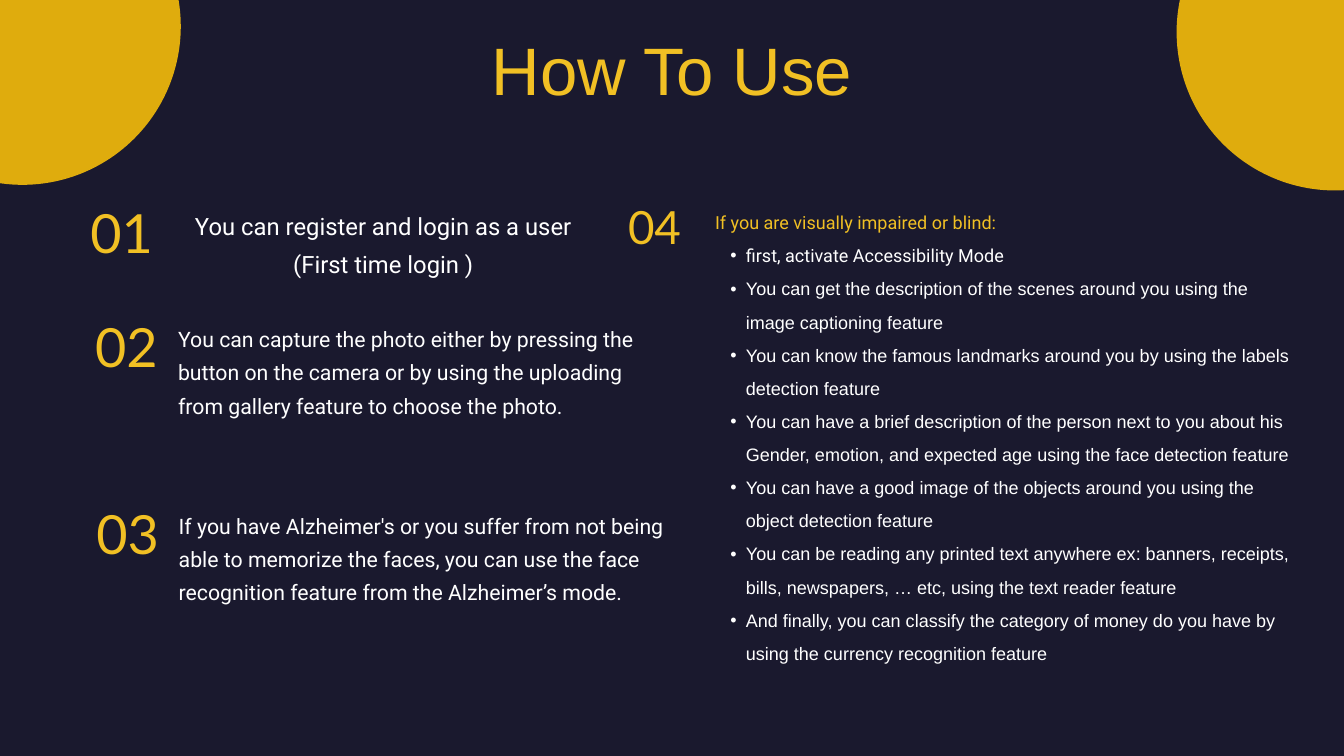
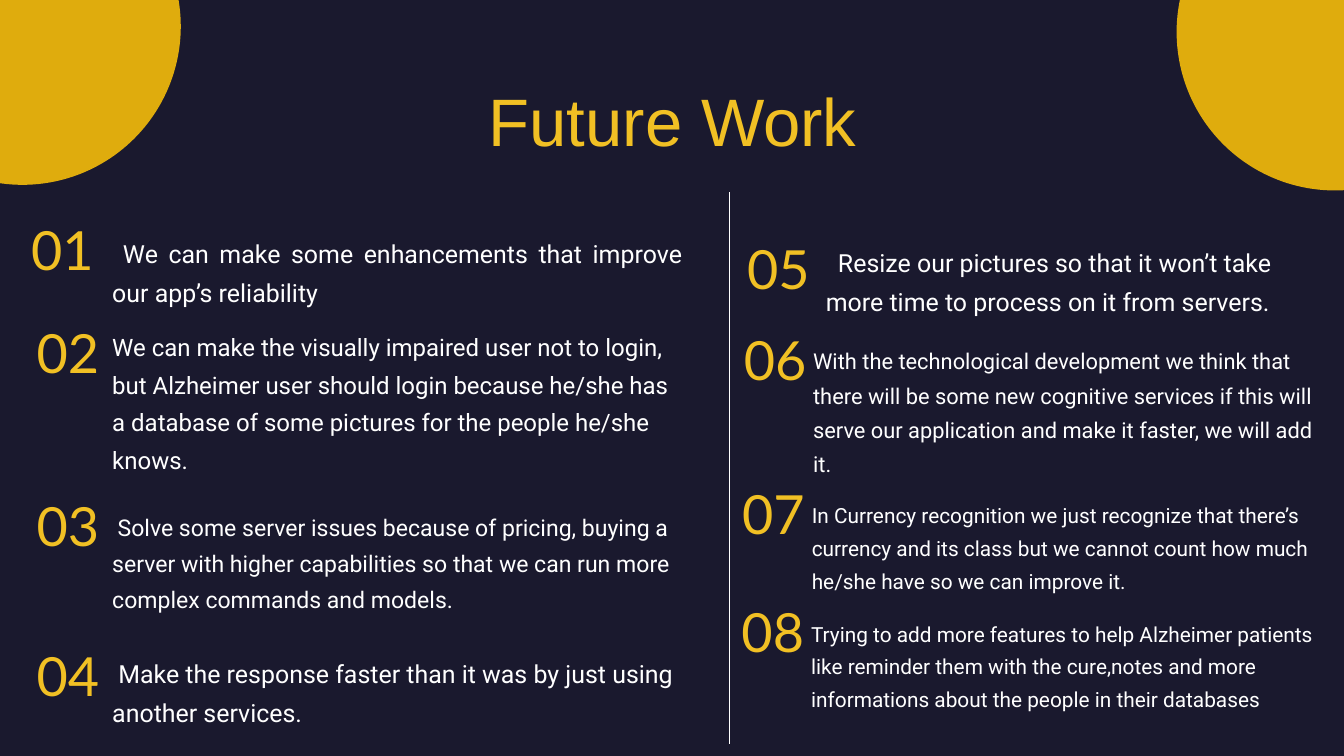
from dataclasses import dataclass

from lxml.etree import SubElement
from pptx import Presentation
from pptx.dml.color import RGBColor
from pptx.enum.shapes import MSO_CONNECTOR as Connector
from pptx.enum.text import MSO_AUTO_SIZE as AutoSize, PP_ALIGN as Align
from pptx.oxml.ns import qn
from pptx.util import Inches, Pt

NIGHT, AMBER, GOLD, WHITE = "1A192E", "DFAC0D", "F1C024", "FFFFFF"
TITLE_FONT, NUMBER_FONT, BODY_FONT = "Arial", "Lato", "Roboto"
BODY_SPACING = {22.3: 35, 22.8: 35.7, 23.4: 36.7, 24.7: 38.7, 25.5: 40.1, 25.7: 40.3, 26.7: 41.9}
DOME_WIDTH, DOME_HEIGHT, DOME_SHOULDER = 4.71, 3, 0.65
HALF_TURN = 180 * 60000


@dataclass(frozen=True)
class Frame:
    """A place on the slide, in inches."""
    left: float
    top: float
    width: float
    height: float


@dataclass(frozen=True)
class Style:
    """The look of one paragraph."""
    font: str
    size: float
    color: str
    spacing: float
    align: Align = Align.LEFT
    first_indent: float = 0
    bullet: bool = False


@dataclass(frozen=True)
class Step:
    """A numbered entry with its text."""
    number: str
    number_frame: Frame
    text: str
    text_frame: Frame
    size: float
    align: Align = Align.LEFT
    first_indent: float = 0
    number_spacing: float = 80.9


@dataclass(frozen=True)
class Dome:
    """A rounded corner ornament."""
    left: float
    top: float
    rotation: float


DOMES = [Dome(-1.31, -0.63, 303.8), Dome(16.81, -0.53, 54.9)]

USE_STEPS = [
    Step("01", Frame(1.05, 2.81, 1.52, 1.05),
         "You can register and login as a user (First time login )",
         Frame(2.57, 3.02, 6.27, 1.04), 25.5, Align.CENTER),
    Step("02", Frame(1.12, 4.5, 1.52, 1.05),
         "You can capture the photo either by pressing the button on the camera "
         "or by using the uploading from gallery feature to choose the photo.",
         Frame(2.65, 4.74, 7.34, 1.9), 22.8),
    Step("03", Frame(1.14, 7.29, 1.52, 1.05),
         "If you have Alzheimer's or you suffer from not being able to memorize the faces, "
         "you can use the face recognition feature from the Alzheimer’s mode.",
         Frame(2.66, 7.52, 7.34, 1.9), 22.8),
]

ACCESS_HEADING = "If you are visually impaired or blind:"
ACCESS_START = "first, activate Accessibility Mode"
ACCESS_FEATURES = [
    "You can get the description of the scenes around you using the image captioning feature",
    "You can know the famous landmarks around you by using the labels detection feature",
    "You can have a brief description of the person next to you about his Gender, emotion, "
    "and expected age using the face detection feature",
    "You can have a good image of the objects around you using the object detection feature",
    "You can be reading any printed text anywhere ex: banners, receipts, bills, newspapers, "
    "… etc, using the text reader feature",
    "And finally, you can classify the category of money do you have by using the currency "
    "recognition feature",
]

FUTURE_STEPS = [
    Step("01", Frame(0.17, 3.06, 1.52, 1.05),
         "We can make some enhancements that improve our app’s reliability",
         Frame(1.67, 3.41, 8.49, 1.08), 26.7, Align.JUSTIFY, 0.16),
    Step("02", Frame(0.25, 4.6, 1.52, 1.05),
         "We can make the visually impaired user not to login, but Alzheimer user should login "
         "because he/she has a database of some pictures for the people he/she knows.",
         Frame(1.67, 4.82, 8.49, 2.15), 25.7),
    Step("03", Frame(0.25, 7.17, 1.52, 1.05),
         "Solve some server issues because of pricing, buying a server with higher capabilities "
         "so that we can run more complex commands and models.",
         Frame(1.67, 7.51, 8.89, 1.54), 24.7, first_indent=0.08),
    Step("04", Frame(0.25, 9.4, 1.52, 1.05),
         "Make the response faster than it was by just using another services.",
         Frame(1.67, 9.66, 8.89, 1.08), 26.7, first_indent=0.09),
    Step("05", Frame(10.88, 3.34, 1.41, 1.05),
         "Resize our pictures so that it won’t take more time to process on it from servers.",
         Frame(12.29, 3.54, 7.43, 1.08), 26.7, first_indent=0.18),
    Step("06", Frame(10.88, 4.84, 1.31, 0.93),
         "With the technological development we think that there will be some new cognitive "
         "services if this will serve our application and make it faster, we will add it.",
         Frame(12.1, 5.06, 7.63, 1.95), 23.4, number_spacing=70.8),
    Step("07", Frame(10.84, 7.17, 1.34, 0.95),
         "In Currency recognition we just recognize that there’s currency and its class but we "
         "cannot count how much he/she have so we can improve it.",
         Frame(12.08, 7.37, 7.78, 1.39), 22.3, number_spacing=67.6),
    Step("08", Frame(10.83, 8.93, 1.34, 0.95),
         "Trying to add more features to help Alzheimer patients like reminder them with the "
         "cure,notes and more informations about the people in their databases",
         Frame(12.07, 9.13, 7.78, 1.87), 22.3, number_spacing=67.6),
]


def rgb(color: str) -> RGBColor:
    """Turn a hex string into a colour."""
    return RGBColor.from_string(color)


def write_paragraph(para, text: str, style: Style) -> None:
    """Fill a paragraph and format its text."""
    para.text = text
    para.alignment = style.align
    para.line_spacing = Pt(style.spacing)
    properties = para._p.get_or_add_pPr()
    if style.bullet:
        para.level = 1
        properties.set("marL", str(Inches(0.46)))
        properties.set("indent", str(Inches(-0.23)))
        SubElement(properties, qn("a:buFont"), typeface="Arial")
        SubElement(properties, qn("a:buChar"), char="•")
    elif style.first_indent:
        properties.set("indent", str(Inches(style.first_indent)))
    for span in para.runs:
        span.font.name = style.font
        span.font.size = Pt(style.size)
        span.font.color.rgb = rgb(style.color)


def add_text(shapes, frame: Frame, *entries: tuple[str, Style]) -> None:
    """Add a text box with one paragraph per entry."""
    box = shapes.add_textbox(Inches(frame.left), Inches(frame.top),
                             Inches(frame.width), Inches(frame.height))
    body = box.text_frame
    body.word_wrap = True
    body.auto_size = AutoSize.SHAPE_TO_FIT_TEXT
    body.margin_left = body.margin_right = body.margin_top = body.margin_bottom = 0
    for index, (text, style) in enumerate(entries):
        para = body.add_paragraph() if index else body.paragraphs[0]
        write_paragraph(para, text, style)


def number_style(size: float, spacing: float) -> Style:
    """Give the look of a step number."""
    return Style(NUMBER_FONT, size, GOLD, spacing, Align.CENTER)


def add_step(page, step: Step) -> None:
    """Add a number and its text as a group."""
    shapes = page.shapes.add_group_shape().shapes
    add_text(shapes, step.number_frame, (step.number, number_style(57.8, step.number_spacing)))
    style = Style(BODY_FONT, step.size, WHITE, BODY_SPACING[step.size],
                  step.align, step.first_indent)
    add_text(shapes, step.text_frame, (step.text, style))


def round_off(shape) -> None:
    """Replace the two lower edges of a dome by one half-turn arc."""
    outline = next(shape._element.iter(qn("a:path")))
    tip, end = outline.findall(qn("a:lnTo"))[-2:]
    arc = SubElement(outline, qn("a:arcTo"), wR=str(Inches(DOME_WIDTH / 2)),
                     hR=str(Inches(DOME_HEIGHT - DOME_SHOULDER)),
                     stAng="0", swAng=str(HALF_TURN))
    outline.replace(tip, arc)
    outline.remove(end)


def add_dome(page, dome: Dome) -> None:
    """Add a half disc on a straight base, turned into its corner."""
    right, middle = dome.left + DOME_WIDTH, dome.left + DOME_WIDTH / 2
    shoulder, bottom = dome.top + DOME_SHOULDER, dome.top + DOME_HEIGHT
    corners = [(right, dome.top), (right, shoulder), (middle, bottom), (dome.left, shoulder)]
    builder = page.shapes.build_freeform(Inches(dome.left), Inches(dome.top))
    builder.add_line_segments([(Inches(x), Inches(y)) for x, y in corners], close=True)
    shape = builder.convert_to_shape()
    round_off(shape)
    shape.rotation = dome.rotation
    shape.shadow.inherit = False
    shape.fill.solid()
    shape.fill.fore_color.rgb = rgb(AMBER)
    shape.line.fill.background()


def add_page(deck, title: str, title_frame: Frame):
    """Add a slide with the shared background, domes and title."""
    page = deck.slides.add_slide(deck.slide_layouts[6])
    page.background.fill.solid()
    page.background.fill.fore_color.rgb = rgb(NIGHT)
    for dome in DOMES:
        add_dome(page, dome)
    add_text(page.shapes, title_frame,
             (title, Style(TITLE_FONT, 71.9, GOLD, 100.7, Align.CENTER)))
    return page


def add_divider(page, x: float, top: float, bottom: float) -> None:
    """Add the vertical line between the columns."""
    line = page.shapes.add_connector(Connector.STRAIGHT, Inches(x), Inches(top),
                                     Inches(x), Inches(bottom))
    line.line.color.rgb = rgb(WHITE)
    line.line.width = Pt(1.5)
    SubElement(line._element.spPr, qn("a:effectLst"))


def add_accessibility(page) -> None:
    """Add step 04 with its bulleted features."""
    shapes = page.shapes.add_group_shape().shapes
    add_text(shapes, Frame(8.84, 2.83, 1.8, 0.89), ("04", number_style(49, 68.5)))
    heading = Style(BODY_FONT, 19.3, GOLD, 35.5)
    start = Style(BODY_FONT, 19.3, WHITE, 35.5, bullet=True)
    feature = Style(TITLE_FONT, 19.3, WHITE, 35.5, bullet=True)
    add_text(shapes, Frame(10.64, 2.98, 8.69, 7.76),
             (ACCESS_HEADING, heading), (ACCESS_START, start),
             *((text, feature) for text in ACCESS_FEATURES))


def main() -> None:
    """Build and save the deck."""
    deck = Presentation()
    deck.slide_width, deck.slide_height = Inches(20), Inches(11.25)

    use_page = add_page(deck, "How To Use", Frame(4.17, 0.22, 11.66, 1.34))
    for step in USE_STEPS:
        add_step(use_page, step)
    add_accessibility(use_page)

    future_page = add_page(deck, "Future Work", Frame(4.18, 0.98, 11.66, 1.34))
    for step in FUTURE_STEPS[:4]:
        add_step(future_page, step)
    add_divider(future_page, 10.86, 2.86, 11.07)
    for step in FUTURE_STEPS[4:]:
        add_step(future_page, step)

    deck.save("out.pptx")


if __name__ == "__main__":
    main()
